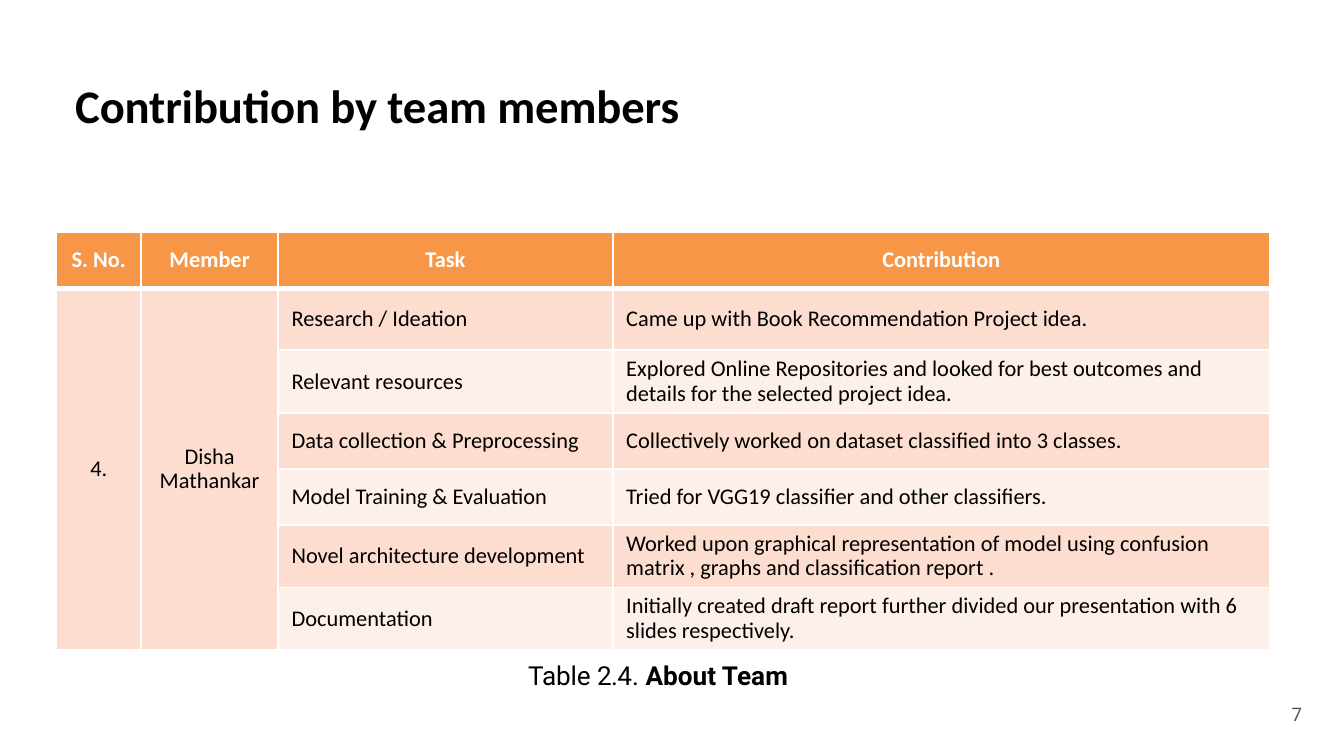
from lxml.etree import SubElement
from pptx import Presentation
from pptx.dml.color import RGBColor
from pptx.enum.text import MSO_ANCHOR, MSO_AUTO_SIZE, PP_ALIGN
from pptx.oxml.ns import qn
from pptx.util import Inches, Pt

COLORS = {
    "ink": "000000",
    "white": "FFFFFF",
    "header": "F79646",
    "odd_row": "FCDDCF",
    "even_row": "FDEFE9",
    "page_number": "585858",
}
COLUMN_WIDTHS = [0.63, 1.02, 2.49, 4.89]
ROW_HEIGHTS = [5 / 12, 0.46] + [5 / 12] * 5
HEADINGS = ["S. No.", "Member", "Task", "Contribution"]
MEMBER = ["4.", "Disha Mathankar"]
CONTRIBUTIONS = [
    ("Research / Ideation", "Came up with Book Recommendation Project idea."),
    ("Relevant resources", "Explored Online Repositories and looked for best outcomes "
     "and details for the selected project idea."),
    ("Data collection & Preprocessing",
     "Collectively worked on dataset classified into 3 classes."),
    ("Model Training & Evaluation", "Tried for VGG19 classifier and other classifiers."),
    ("Novel architecture development", "Worked upon graphical representation of model "
     "using confusion matrix , graphs and classification report ."),
    ("Documentation", "Initially created draft report further divided our "
     "presentation with 6 slides respectively."),
]


def format_run(run, font, size, color, bold=False, tracking=0):
    """Set the typeface, size, colour, weight and letter spacing of a run."""
    run.font.name = font
    run.font.size = Pt(size)
    run.font.bold = bold
    run.font.color.rgb = RGBColor.from_string(COLORS[color])
    if tracking:
        run._r.get_or_add_rPr().set("spc", str(round(tracking * 100)))


def format_line(line, indent, space_before=0):
    """Set the left indent and the space before a paragraph."""
    line.alignment = PP_ALIGN.LEFT
    line.space_before = Pt(space_before)
    line._p.get_or_add_pPr().set("marL", str(Inches(indent)))


def prepare_frame(frame, top_inset=0):
    """Give a text frame tight insets, wrapping and a top anchor."""
    frame.margin_left = frame.margin_right = frame.margin_bottom = 0
    frame.margin_top = Inches(top_inset)
    frame.word_wrap = True
    frame.auto_size = MSO_AUTO_SIZE.NONE
    frame.vertical_anchor = MSO_ANCHOR.TOP


def add_title(slide, wording):
    """Move the title placeholder into place and fill it."""
    title = slide.shapes.title
    title.left, title.top = Inches(0.55), Inches(0.56)
    title.width, title.height = Inches(4.77), Inches(0.43)
    prepare_frame(title.text_frame, 0.01)
    title.text_frame.text = wording
    heading = title.text_frame.paragraphs[0]
    format_line(heading, 0.01, 0.9)
    format_run(heading.runs[0], "Calibri", 25, "ink", True, -0.05)


def add_label(slide, left, top, width, height, parts, size, color, top_inset=0):
    """Add a one-line text box from (wording, bold, tracking) parts."""
    label = slide.shapes.add_textbox(Inches(left), Inches(top), Inches(width), Inches(height))
    prepare_frame(label.text_frame, top_inset)
    line = label.text_frame.paragraphs[0]
    for wording, bold, tracking in parts:
        run = line.add_run()
        run.text = wording
        format_run(run, "Roboto", size, color, bold, tracking)
    return line


def set_borders(cell, bottom_width):
    """Draw white borders around a cell."""
    properties = cell._tc.get_or_add_tcPr()
    for side, width in (("L", 1), ("R", 1), ("T", 1), ("B", bottom_width)):
        border = SubElement(properties, qn(f"a:ln{side}"), w=str(Pt(width)))
        fill = SubElement(border, qn("a:solidFill"))
        SubElement(fill, qn("a:srgbClr"), val=COLORS["white"])


def fill_cell(cell, wording, fill, color="ink", bold=False, centered=False, bottom_width=1):
    """Write one table cell with its borders, background and text format."""
    set_borders(cell, bottom_width)
    cell.fill.solid()
    cell.fill.fore_color.rgb = RGBColor.from_string(COLORS[fill])
    cell.vertical_anchor = MSO_ANCHOR.MIDDLE
    cell.text_frame.text = wording
    entry = cell.text_frame.paragraphs[0]
    entry.alignment = PP_ALIGN.CENTER if centered else PP_ALIGN.LEFT
    entry.line_spacing = 0.9
    format_run(entry.runs[0], "Calibri", 12, color, bold)


def add_contribution_table(slide):
    """Add the table of tasks and contributions of one member."""
    table = slide.shapes.add_table(
        len(ROW_HEIGHTS), len(COLUMN_WIDTHS), Inches(0.42), Inches(1.73),
        Inches(sum(COLUMN_WIDTHS)), Inches(sum(ROW_HEIGHTS))).table
    for column, width in zip(table.columns, COLUMN_WIDTHS):
        column.width = Inches(width)
    for row, height in zip(table.rows, ROW_HEIGHTS):
        row.height = Inches(height)
    for column, heading in enumerate(HEADINGS):
        fill_cell(table.cell(0, column), heading, "header", "white", True, True, 3)
    for column, detail in enumerate(MEMBER):
        member = table.cell(1, column)
        member.merge(table.cell(len(CONTRIBUTIONS), column))
        fill_cell(member, detail, "odd_row", centered=True)
    for row, entries in enumerate(CONTRIBUTIONS, start=1):
        fill = "odd_row" if row % 2 else "even_row"
        for column, wording in enumerate(entries, start=len(MEMBER)):
            fill_cell(table.cell(row, column), wording, fill)


def main():
    """Build and save the slide."""
    deck = Presentation()
    deck.slide_width, deck.slide_height = Inches(10), Inches(10 * 9 / 16)
    slide = deck.slides.add_slide(deck.slide_layouts[5])
    add_title(slide, "Contribution by team members")
    page_number = add_label(slide, 9.57, 5.23, 0.24, 0.18, [("7", False, -0.1)],
                            10, "page_number")
    format_line(page_number, 0.04)
    add_contribution_table(slide)
    caption = add_label(
        slide, 3.92, 4.9, 2.03, 0.28,
        [("Table ", False, -0.1), ("2.4", False, -0.3), (". ", False, 0),
         ("About Team", True, 0)], 14, "ink", 0.01)
    format_line(caption, 0.01, 1.1)
    deck.save("out.pptx")


if __name__ == "__main__":
    main()
